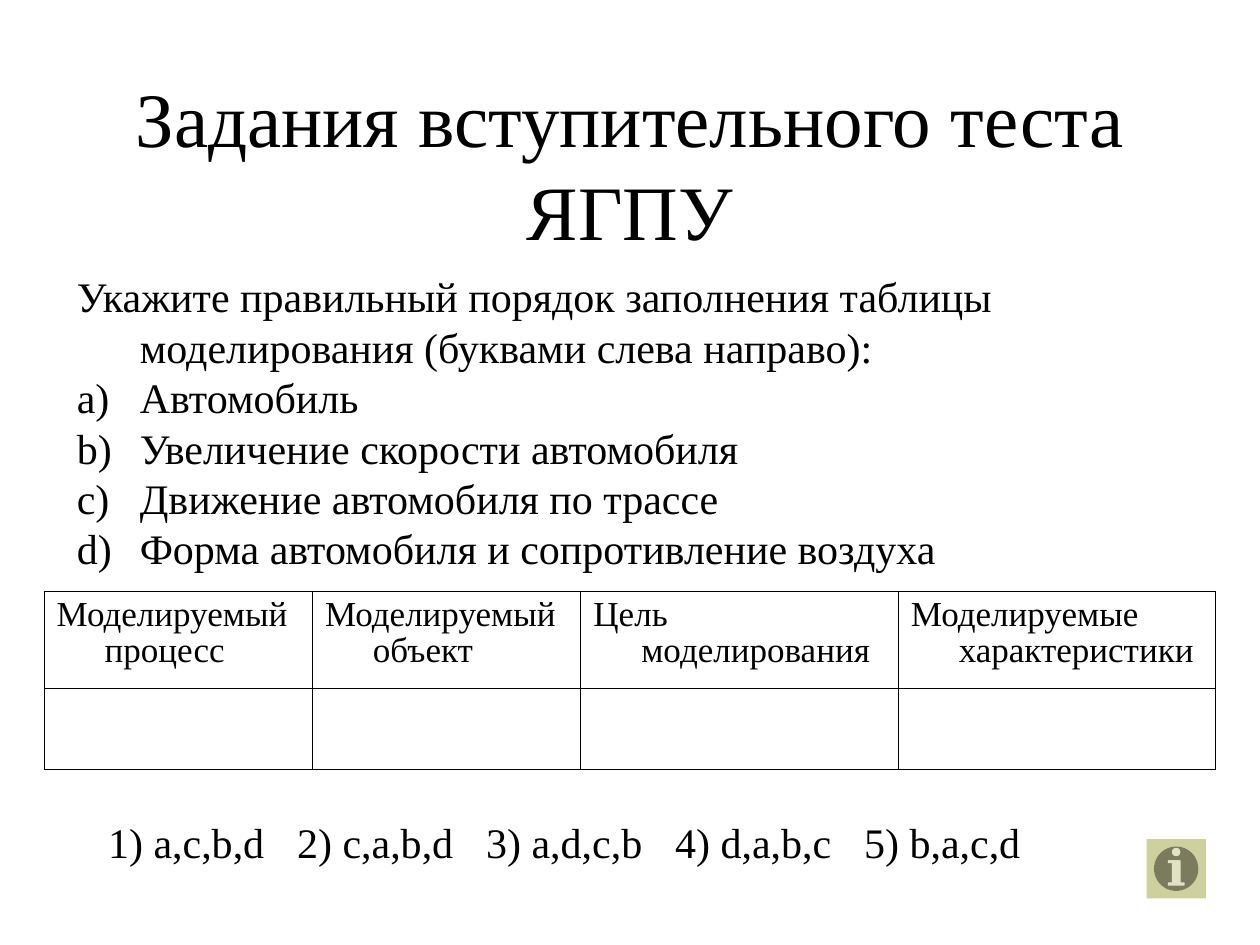
import pptx
import pptx.util
import pptx.dml.color
import pptx.enum.shapes
import pptx.enum.text
import pptx.oxml
import pptx.oxml.ns
from pptx.util import Inches

NS = pptx.oxml.ns.nsdecls("a")


def add_span(para, text, size):
    span = para.add_run()
    span.text = text
    span.font.size = pptx.util.Pt(size)
    span.font.name = "Times New Roman"
    span.font.color.rgb = pptx.dml.color.RGBColor.from_string("000000")


def format_para(para, indent, *elements):
    """Set a hanging indent in inches and append bullet or tab elements."""
    props = para._p.get_or_add_pPr()
    props.set("marL", str(Inches(indent)))
    props.set("indent", str(Inches(-indent)))
    for element in elements:
        props.append(pptx.oxml.parse_xml(element))


deck = pptx.Presentation()
deck.slide_width, deck.slide_height = Inches(10), Inches(7.5)
page = deck.slides.add_slide(deck.slide_layouts[1])

# Title
title = page.shapes.title
title.left, title.top = Inches(0.75), Inches(0.67)
title.width, title.height = Inches(8.5), Inches(1.25)
title.text_frame.auto_size = pptx.enum.text.MSO_AUTO_SIZE.NONE
title.text_frame.vertical_anchor = pptx.enum.text.MSO_ANCHOR.MIDDLE
add_span(title.text_frame.paragraphs[0], "Задания вступительного теста ЯГПУ", 44)

# Question and lettered items
question = page.placeholders[1]
question.left, question.top = Inches(0.51), Inches(2.1)
question.width, question.height = Inches(7.8), Inches(2.5)
question.text_frame.auto_size = pptx.enum.text.MSO_AUTO_SIZE.NONE
lines = [
    "Укажите правильный порядок заполнения таблицы моделирования (буквами слева направо):",
    "Автомобиль",
    "Увеличение скорости автомобиля",
    "Движение автомобиля по трассе",
    "Форма автомобиля и сопротивление воздуха",
]
for number, line in enumerate(lines):
    if number == 0:
        para = question.text_frame.paragraphs[0]
        format_para(para, 0.5, f"<a:buNone {NS}/>")
    else:
        para = question.text_frame.add_paragraph()
        format_para(para, 0.5, f'<a:buFont {NS} typeface="Times New Roman"/>',
                    f'<a:buAutoNum {NS} type="alphaLcParenR"/>')
    para.space_before = pptx.util.Pt(0)
    add_span(para, line, 24)

# Modelling table with an empty row to fill in
headings = [
    ("Моделируемый", "процесс"),
    ("Моделируемый", "объект"),
    ("Цель", "моделирования"),
    ("Моделируемые", "характеристики"),
]
table = page.shapes.add_table(2, 4, Inches(0.35), Inches(4.69),
                              Inches(9.3), Inches(1.42)).table
table.first_row = table.horz_banding = False
for column, width in zip(table.columns, (2.13, 2.13, 2.52, 2.52)):
    column.width = Inches(width)
for row, height in zip(table.rows, (0.77, 0.65)):
    row.height = Inches(height)
for cell in table.iter_cells():
    props = cell._tc.get_or_add_tcPr()
    for side in ("lnL", "lnR", "lnT", "lnB"):
        props.append(pptx.oxml.parse_xml(
            f'<a:{side} {NS} w="{pptx.util.Pt(0.45)}"><a:solidFill>'
            f'<a:srgbClr val="000000"/></a:solidFill></a:{side}>'))
    cell.fill.background()
for column, (first, second) in enumerate(headings):
    para = table.cell(0, column).text_frame.paragraphs[0]
    format_para(para, 0.38)
    para.line_spacing = 0.93
    add_span(para, first, 20)
    para.add_line_break()
    add_span(para, second, 20)

# Answer options at equal tab stops
answers = page.shapes.add_textbox(Inches(0.76), Inches(6.43), Inches(8.4), Inches(0.5))
answers.text_frame.word_wrap = True
para = answers.text_frame.paragraphs[0]
stops = "".join(f'<a:tab pos="{Inches(1.48 + 1.41 * step)}" algn="l"/>' for step in range(4))
format_para(para, 0, f"<a:tabLst {NS}>{stops}</a:tabLst>")
options = ["a,c,b,d", "c,a,b,d", "a,d,c,b", "d,a,b,c", "b,a,c,d"]
add_span(para, "\t".join(f"{number}) {order}" for number, order in enumerate(options, 1)), 24)

# Information button
button = page.shapes.add_shape(pptx.enum.shapes.MSO_SHAPE.ACTION_BUTTON_INFORMATION,
                               Inches(9.1), Inches(6.66), Inches(0.47), Inches(0.47))
button.shadow.inherit = False
button.fill.solid()
button.fill.fore_color.rgb = pptx.dml.color.RGBColor.from_string("CED09E")
button.line.fill.background()

deck.save("out.pptx")
